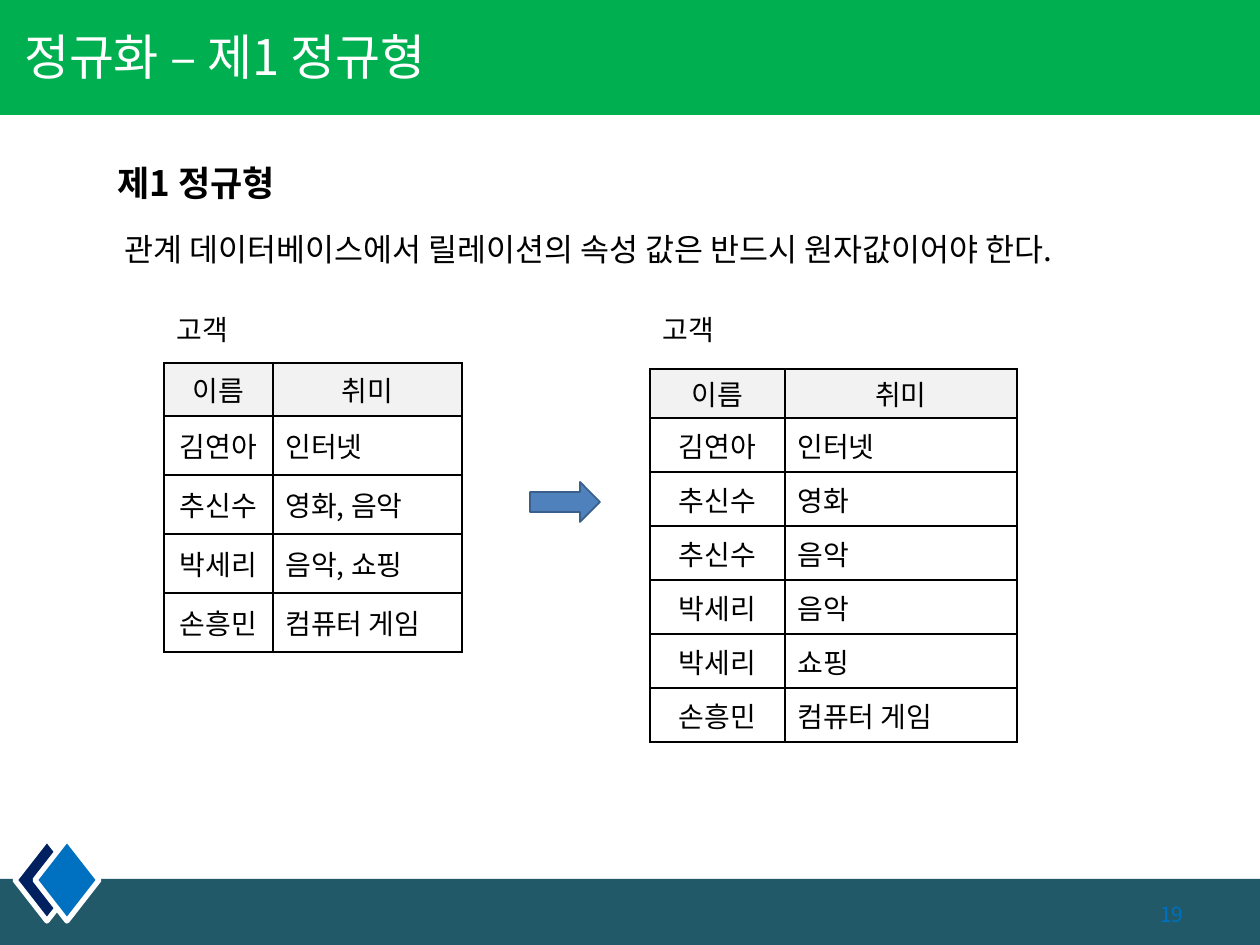
from dataclasses import dataclass

from lxml import etree
from pptx import Presentation
from pptx import util as u
from pptx.dml.color import RGBColor
from pptx.enum import shapes, text
from pptx.oxml import ns


@dataclass(frozen=True)
class Theme:
    font: str = "Noto Sans CJK KR"
    white: str = "FFFFFF"
    black: str = "000000"
    green: str = "00B050"
    teal: str = "215968"
    navy: str = "002060"
    blue: str = "0070C0"
    header: str = "F2F2F2"
    arrow: str = "4F81BD"
    arrow_line: str = "3A5F8C"
    title: int = 28
    heading: int = 20
    body: int = 18
    label: int = 16
    small: int = 12


def px(n):
    return u.Emu(round(n * 914400 / 126))


def rgb(color):
    return RGBColor.from_string(color)


class SlideBuilder:
    def __init__(self, prs, theme):
        self.theme = theme
        self.slide = prs.slides.add_slide(prs.slide_layouts[6])

    def add_run(self, tf, content, size, color=None, bold=False, align=text.PP_ALIGN.LEFT):
        p = tf.paragraphs[0]
        p.alignment = align
        r = p.add_run()
        r.text = content
        r.font.size = u.Pt(size)
        r.font.bold = bold
        r.font.name = self.theme.font
        r.font.color.rgb = rgb(color or self.theme.black)
        ea = etree.SubElement(r.font._element, ns.qn("a:ea"))
        ea.set("typeface", self.theme.font)

    def shape(self, kind, box, fill, line=None, width=1):
        sp = self.slide.shapes.add_shape(kind, *map(px, box))
        sp.shadow.inherit = False
        sp.fill.solid()
        sp.fill.fore_color.rgb = rgb(fill)
        if line:
            sp.line.color.rgb = rgb(line)
            sp.line.width = u.Pt(width)
        else:
            sp.line.fill.background()

    def text(self, box, content, size, color=None, bold=False,
             align=text.PP_ALIGN.LEFT, anchor=text.MSO_ANCHOR.TOP, indent=None):
        tf = self.slide.shapes.add_textbox(*map(px, box)).text_frame
        tf.word_wrap = True
        tf.vertical_anchor = anchor
        if indent is not None:
            tf.margin_left = px(indent)
        self.add_run(tf, content, size, color, bold, align)

    def borders(self, cell):
        tc_pr = cell._tc.get_or_add_tcPr()
        for i, side in enumerate(("lnL", "lnR", "lnT", "lnB")):
            ln = etree.Element(ns.qn(f"a:{side}"), w=str(u.Pt(1)))
            fill = etree.SubElement(ln, ns.qn("a:solidFill"))
            etree.SubElement(fill, ns.qn("a:srgbClr"), val=self.theme.black)
            tc_pr.insert(i, ln)

    def table(self, left, top, widths, header_height, row_height, rows):
        heights = [header_height] + [row_height] * (len(rows) - 1)
        box = (left, top, sum(widths), sum(heights))
        table = self.slide.shapes.add_table(len(rows), len(widths), *map(px, box)).table
        for column, width in zip(table.columns, widths):
            column.width = px(width)
        for i, (values, height) in enumerate(zip(rows, heights)):
            table.rows[i].height = px(height)
            for j, value in enumerate(values):
                cell = table.cell(i, j)
                cell.vertical_anchor = text.MSO_ANCHOR.MIDDLE
                cell.margin_top = cell.margin_bottom = px(3)
                cell.fill.solid()
                cell.fill.fore_color.rgb = rgb(self.theme.white if i else self.theme.header)
                centred = i == 0 or j == 0
                self.add_run(cell.text_frame, value, self.theme.label,
                             align=text.PP_ALIGN.CENTER if centred else text.PP_ALIGN.LEFT)
                self.borders(cell)


def main():
    prs = Presentation()
    prs.slide_width, prs.slide_height = px(1260), px(945)
    t = Theme()
    s = SlideBuilder(prs, t)
    kind = shapes.MSO_SHAPE

    # Footer band with diamonds and page number
    s.shape(kind.RECTANGLE, (0, 879, 1260, 66), t.teal)
    for left, color in ((15, t.navy), (35, t.blue)):
        s.shape(kind.DIAMOND, (left, 839, 64, 82), color, t.white, 3)
    s.text((1100, 894, 96, 40), "19", t.small, t.blue,
           align=text.PP_ALIGN.RIGHT, anchor=text.MSO_ANCHOR.MIDDLE)

    # Title band
    s.shape(kind.RECTANGLE, (0, 0, 1260, 115), t.green)
    s.text((0, -3, 789, 118), "정규화 – 제1 정규형", t.title, t.white,
           anchor=text.MSO_ANCHOR.MIDDLE, indent=24)

    # Definition
    s.text((105, 155, 228, 55), "제1 정규형", t.heading, bold=True)
    s.text((112, 224, 1063, 50),
           "관계 데이터베이스에서 릴레이션의 속성 값은 반드시 원자값이어야 한다.", t.body)

    # Customer table before and after normalization
    for left in (164, 650):
        s.text((left, 306, 93, 47), "고객", t.label)
    header = ("이름", "취미")
    s.table(164, 363, (109, 189), 53, 59, [
        header,
        ("김연아", "인터넷"),
        ("추신수", "영화, 음악"),
        ("박세리", "음악, 쇼핑"),
        ("손흥민", "컴퓨터 게임"),
    ])
    s.shape(kind.RIGHT_ARROW, (530, 482, 70, 40), t.arrow, t.arrow_line)
    s.table(650, 369, (135, 232), 49, 54, [
        header,
        ("김연아", "인터넷"),
        ("추신수", "영화"),
        ("추신수", "음악"),
        ("박세리", "음악"),
        ("박세리", "쇼핑"),
        ("손흥민", "컴퓨터 게임"),
    ])

    prs.save("out.pptx")


if __name__ == "__main__":
    main()
